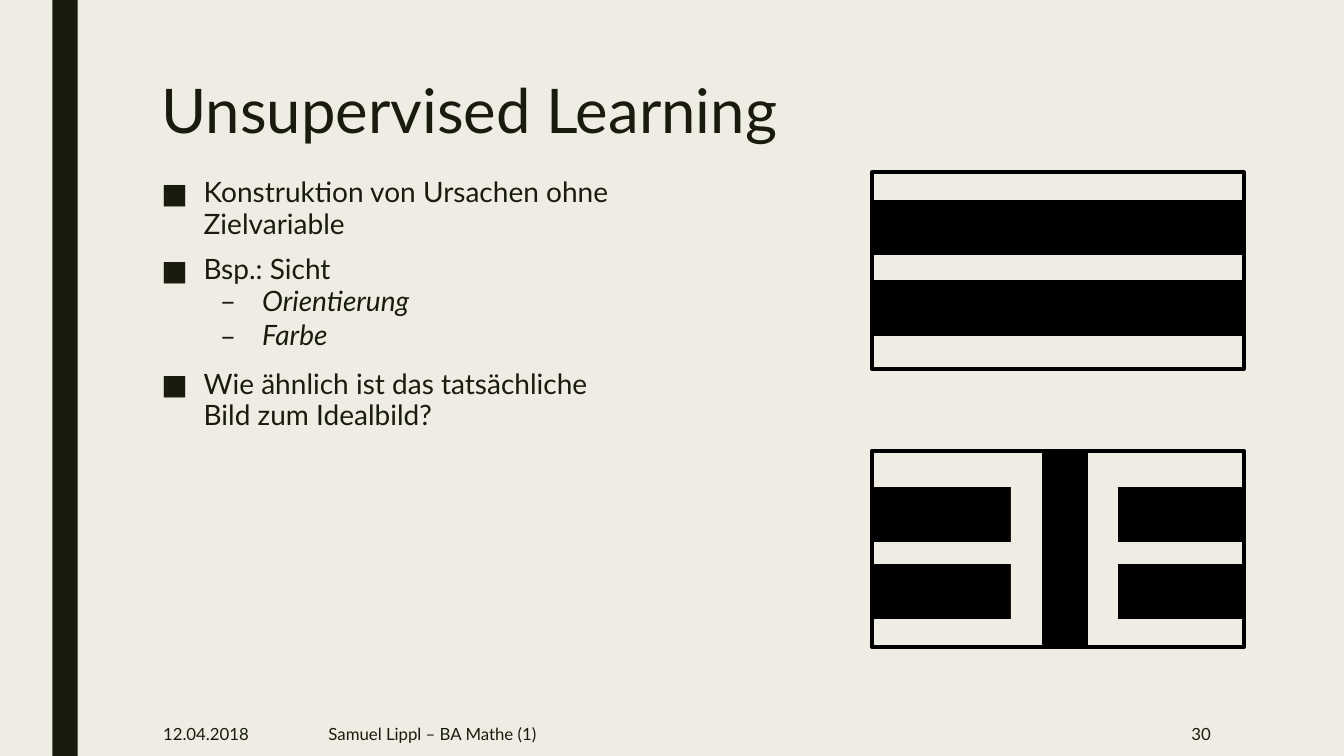
from dataclasses import dataclass
from typing import Optional

from lxml.etree import SubElement
from pptx import Presentation
from pptx.dml.color import RGBColor
from pptx.enum.shapes import MSO_SHAPE
from pptx.enum.text import MSO_ANCHOR, MSO_AUTO_SIZE, PP_ALIGN
from pptx.oxml.ns import qn
from pptx.slide import Slide
from pptx.text.text import TextFrame, _Paragraph
from pptx.util import Inches, Pt

INK = RGBColor(0x19, 0x1B, 0x0E)
PAPER = RGBColor(0xEF, 0xED, 0xE3)
BLACK = RGBColor(0x00, 0x00, 0x00)
FONT = "Lato"
COLUMNS, ROWS = 160, 90
SLIDE_WIDTH, SLIDE_HEIGHT = Inches(13.33), Inches(7.5)


@dataclass(frozen=True)
class Area:
    column: float
    row: float
    columns: float
    rows: float

    def lengths(self) -> tuple[int, int, int, int]:
        cell_width, cell_height = SLIDE_WIDTH / COLUMNS, SLIDE_HEIGHT / ROWS
        return (
            round(self.column * cell_width),
            round(self.row * cell_height),
            round(self.columns * cell_width),
            round(self.rows * cell_height),
        )


@dataclass(frozen=True)
class Block:
    area: Area
    fill: Optional[RGBColor] = BLACK
    outlined: bool = True


@dataclass(frozen=True)
class Point:
    text: str
    level: int = 0


@dataclass(frozen=True)
class FooterEntry:
    text: str
    column: float
    columns: float
    alignment: PP_ALIGN = PP_ALIGN.LEFT


@dataclass(frozen=True)
class LevelStyle:
    bullet: str
    indent: float
    before: float
    after: float
    italic: bool


LEVELS = (
    LevelStyle("■", 0.42, 10, 0, False),
    LevelStyle("–", 1, 0, 2, True),
)
HANGING = 0.42

POINTS = (
    Point("Konstruktion von Ursachen ohne Zielvariable"),
    Point("Bsp.: Sicht"),
    Point("Orientierung", 1),
    Point("Farbe", 1),
    Point("Wie ähnlich ist das tatsächliche Bild zum Idealbild?"),
)

FOOTER = (
    FooterEntry("12.04.2018", 18.24, 15.84),
    FooterEntry("Samuel Lippl – BA Mathe (1)", 37.92, 82.44),
    FooterEntry("30", 124.32, 21, PP_ALIGN.RIGHT),
)
FOOTER_ROW, FOOTER_ROWS = 84.72, 5.28

SIDEBAR = Block(Area(6.24, 0, 3, ROWS), INK, outlined=False)
PANEL_COLUMN, PANEL_COLUMNS, PANEL_ROWS = 103.8, 44.28, 23.4
IDEAL_ROW, ACTUAL_ROW = 20.52, 53.64
STRIPE_ROWS = 6.12
PANELS = tuple(
    Block(Area(PANEL_COLUMN, row, PANEL_COLUMNS, PANEL_ROWS), None)
    for row in (IDEAL_ROW, ACTUAL_ROW)
)
STRIPES = tuple(
    Block(Area(PANEL_COLUMN, row, PANEL_COLUMNS, STRIPE_ROWS))
    for row in (24, 33.6, 58.2, 67.32)
)
CLEARING = Block(Area(120.36, 55.32, 12.72, 19.68), PAPER, outlined=False)
PILLAR = Block(Area(124.32, ACTUAL_ROW, 4.92, PANEL_ROWS))


def draw_block(slide: Slide, block: Block) -> None:
    shape = slide.shapes.add_shape(MSO_SHAPE.RECTANGLE, *block.area.lengths())
    shape.shadow.inherit = False
    if block.fill is None:
        shape.fill.background()
    else:
        shape.fill.solid()
        shape.fill.fore_color.rgb = block.fill
    if block.outlined:
        shape.line.color.rgb = BLACK
        shape.line.width = Pt(2.75)
    else:
        shape.line.fill.background()


def format_runs(paragraph: _Paragraph, size: float, italic: bool = False) -> None:
    for run in paragraph.runs:
        run.font.name = FONT
        run.font.size = Pt(size)
        run.font.italic = italic
        run.font.color.rgb = INK


def fill_placeholder(slide: Slide, index: int, area: Area) -> TextFrame:
    placeholder = slide.placeholders[index]
    placeholder.left, placeholder.top, placeholder.width, placeholder.height = area.lengths()
    frame = placeholder.text_frame
    frame.word_wrap = True
    frame.auto_size = MSO_AUTO_SIZE.NONE
    frame.vertical_anchor = MSO_ANCHOR.TOP
    return frame


def write_title(slide: Slide) -> None:
    heading = fill_placeholder(slide, 0, Area(18, 9, 126, 19.44))
    heading.text = "Unsupervised Learning"
    paragraph = heading.paragraphs[0]
    paragraph.alignment = PP_ALIGN.LEFT
    paragraph.line_spacing = 0.89
    format_runs(paragraph, 44)


def write_points(slide: Slide) -> None:
    body = fill_placeholder(slide, 1, Area(18, IDEAL_ROW, 58.32, 56.52))
    body.text = "\n".join(point.text for point in POINTS)
    for paragraph, point in zip(body.paragraphs, POINTS):
        style = LEVELS[point.level]
        paragraph.level = point.level
        paragraph.line_spacing = 0.94
        paragraph.space_before = Pt(style.before)
        paragraph.space_after = Pt(style.after)
        properties = paragraph._p.get_or_add_pPr()
        properties.set("marL", str(Inches(style.indent)))
        properties.set("indent", str(-Inches(HANGING)))
        SubElement(properties, qn("a:buFont"), typeface=FONT)
        SubElement(properties, qn("a:buChar"), char=style.bullet)
        format_runs(paragraph, 20, style.italic)


def write_footer_entry(slide: Slide, entry: FooterEntry) -> None:
    area = Area(entry.column, FOOTER_ROW, entry.columns, FOOTER_ROWS)
    frame = slide.shapes.add_textbox(*area.lengths()).text_frame
    frame.word_wrap = True
    frame.vertical_anchor = MSO_ANCHOR.MIDDLE
    frame.text = entry.text
    frame.paragraphs[0].alignment = entry.alignment
    format_runs(frame.paragraphs[0], 12)


def main() -> None:
    presentation = Presentation()
    presentation.slide_width = SLIDE_WIDTH
    presentation.slide_height = SLIDE_HEIGHT
    slide = presentation.slides.add_slide(presentation.slide_layouts[1])
    slide.background.fill.solid()
    slide.background.fill.fore_color.rgb = PAPER
    write_title(slide)
    write_points(slide)
    for entry in FOOTER:
        write_footer_entry(slide, entry)
    for block in (SIDEBAR, *PANELS, *STRIPES, CLEARING, PILLAR):
        draw_block(slide, block)
    presentation.save("out.pptx")


if __name__ == "__main__":
    main()
